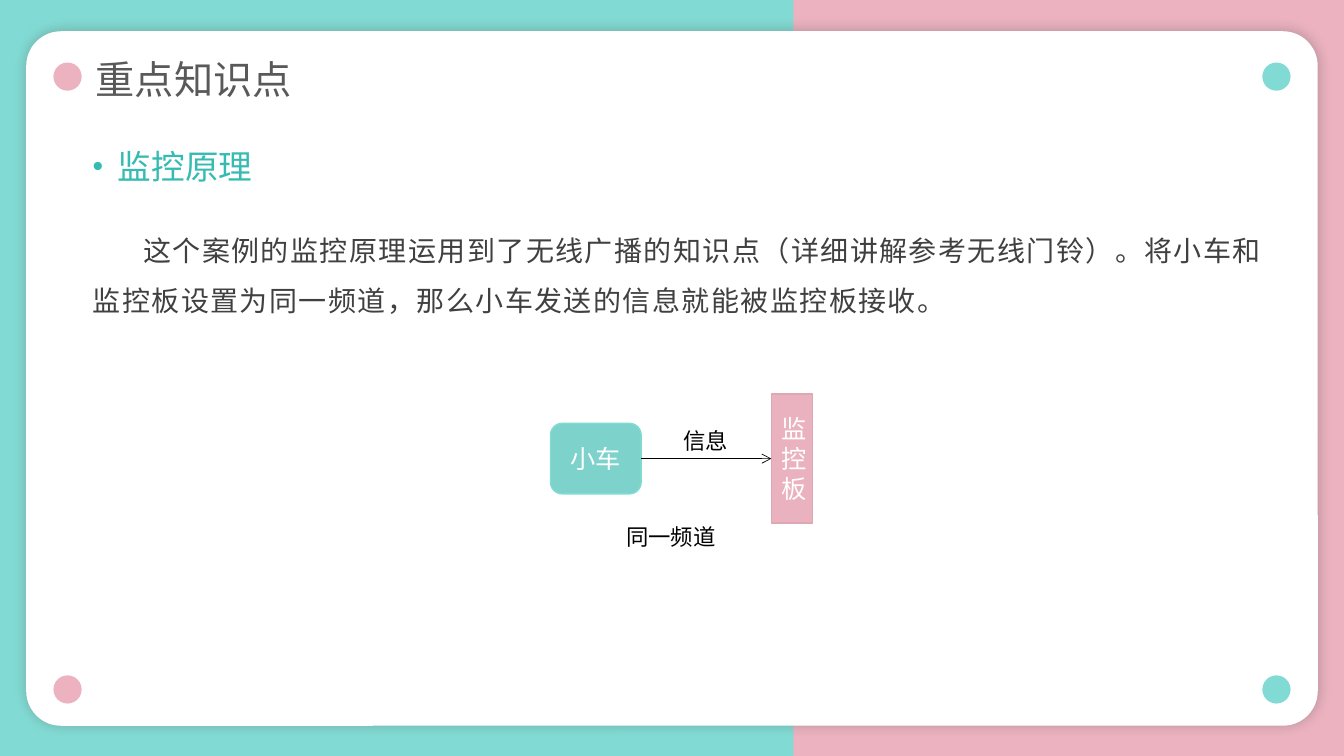
from dataclasses import dataclass

from lxml import etree
from pptx import Presentation
from pptx.dml.color import RGBColor
from pptx.enum.shapes import MSO_CONNECTOR, MSO_SHAPE
from pptx.enum.text import MSO_ANCHOR, MSO_AUTO_SIZE, PP_ALIGN
from pptx.oxml import parse_xml
from pptx.oxml.ns import nsdecls, qn
from pptx.util import Inches, Pt

RECTANGLE = MSO_SHAPE.RECTANGLE
ROUNDED = MSO_SHAPE.ROUNDED_RECTANGLE
OVAL = MSO_SHAPE.OVAL
STRAIGHT = MSO_CONNECTOR.STRAIGHT
MIDDLE = MSO_ANCHOR.MIDDLE
TOP = MSO_ANCHOR.TOP
GROW = MSO_AUTO_SIZE.SHAPE_TO_FIT_TEXT
LEFT = PP_ALIGN.LEFT
CENTER = PP_ALIGN.CENTER
JUSTIFY = PP_ALIGN.JUSTIFY
RIGHT_SIDE, LEFT_SIDE = 3, 1


@dataclass(frozen=True)
class Theme:
    teal: str = "81DBD4"
    pink: str = "ECB2C0"
    white: str = "FFFFFF"
    black: str = "000000"
    title: str = "595959"
    shadow: str = "595959"
    heading: str = "35BBB1"
    body: str = "404040"
    car: str = "7ED2CC"
    car_edge: str = "80DBD4"
    board: str = "EAB1BF"
    board_edge: str = "DCA8B5"
    font: str = "Noto Sans CJK SC"
    heading_font: str = "Arial"
    title_size: int = 28
    heading_size: int = 24
    body_size: int = 20
    node_size: int = 18
    label_size: int = 16


THEME = Theme()

TITLE = "重点知识点"
HEADING = "监控原理"
BODY = (
    "这个案例的监控原理运用到了无线广播的知识点（详细讲解参考无线门铃）。"
    "将小车和监控板设置为同一频道，那么小车发送的信息就能被监控板接收。"
)
NODES = {
    "小车": (ROUNDED, (5.46, 4.2, 0.9, 0.7), THEME.car, THEME.car_edge),
    "监控板": (RECTANGLE, (7.65, 3.91, 0.41, 1.28), THEME.board, THEME.board_edge),
}
LABELS = [("信息", (6.78, 4.16, 0.48, 0.35)), ("同一频道", (6.21, 5.11, 0.92, 0.35))]
DOT_COLUMNS = [(0.53, THEME.pink), (12.52, THEME.teal)]
DOT_ROWS = [0.62, 6.7]
DOT_SIZE = 0.28


def inches(box):
    return [Inches(value) for value in box]


def add_block(slide, kind, box, fill, edge=None):
    shape = slide.shapes.add_shape(kind, *inches(box))
    shape.shadow.inherit = False
    shape.fill.solid()
    shape.fill.fore_color.rgb = RGBColor.from_string(fill)
    if edge:
        shape.line.color.rgb = RGBColor.from_string(edge)
        shape.line.width = Pt(1)
    else:
        shape.line.fill.background()
    return shape


def write(shape, text, size, color, font=THEME.font, align=None, spacing=None):
    shape.text_frame.text = text
    paragraph = shape.text_frame.paragraphs[0]
    paragraph.alignment = align
    paragraph.line_spacing = spacing
    run = paragraph.runs[0]
    run.font.size = Pt(size)
    run.font.name = font
    run.font.color.rgb = RGBColor.from_string(color)
    east_asian = parse_xml(f'<a:ea {nsdecls("a")} typeface="{THEME.font}"/>')
    run.font._element.find(qn("a:latin")).addnext(east_asian)
    return paragraph


def set_frame(shape, anchor, vertical_inset=0.05, wrap=True):
    frame = shape.text_frame
    frame.word_wrap = wrap
    frame.auto_size = GROW
    frame.vertical_anchor = anchor
    frame.margin_left = frame.margin_right = 0
    frame.margin_top = frame.margin_bottom = Inches(vertical_inset)


def add_text(slide, box, anchor=TOP, vertical_inset=0.05, wrap=True):
    shape = slide.shapes.add_textbox(*inches(box))
    set_frame(shape, anchor, vertical_inset, wrap)
    return shape


def add_card(slide):
    card = add_block(slide, ROUNDED, (0.26, 0.31, 12.81, 6.89), THEME.white)
    card.adjustments[0] = 0.05
    effects = card._element.spPr.find(qn("a:effectLst"))
    effects.append(parse_xml(
        f'<a:outerShdw {nsdecls("a")} blurRad="{Pt(9)}" dist="{Pt(1)}" dir="0" '
        f'algn="ctr" rotWithShape="0"><a:srgbClr val="{THEME.shadow}">'
        '<a:alpha val="36000"/></a:srgbClr></a:outerShdw>'
    ))


def add_backdrop(slide):
    slide.background.fill.solid()
    slide.background.fill.fore_color.rgb = RGBColor.from_string(THEME.pink)
    add_block(slide, RECTANGLE, (-0.02, 0, 7.89, 7.5), THEME.teal)
    add_card(slide)
    for top in DOT_ROWS:
        for left, color in DOT_COLUMNS:
            add_block(slide, OVAL, (left, top, DOT_SIZE, DOT_SIZE), color)


def add_title(slide):
    title = slide.shapes.title
    title.left, title.top, title.width, title.height = inches((0.95, 0.55, 5.59, 0.52))
    set_frame(title, MIDDLE)
    write(title, TITLE, THEME.title_size, THEME.title, align=LEFT, spacing=0.9)
    slide.shapes._spTree.append(title._element)


def add_copy(slide):
    heading = add_text(slide, (0.92, 1.4, 8.1, 0.5), MIDDLE)
    paragraph = write(heading, HEADING, THEME.heading_size, THEME.heading,
                      THEME.heading_font, JUSTIFY)
    properties = paragraph._p.get_or_add_pPr()
    properties.set("marL", str(Inches(0.25)))
    properties.set("indent", str(Inches(-0.32)))
    etree.SubElement(properties, qn("a:buSzPct"), val="90000")
    etree.SubElement(properties, qn("a:buFont"), typeface=THEME.heading_font)
    etree.SubElement(properties, qn("a:buChar"), char="•")

    body = add_text(slide, (0.92, 2.1, 11.69, 1.11))
    paragraph = write(body, BODY, THEME.body_size, THEME.body, spacing=1.5)
    paragraph._p.get_or_add_pPr().set("indent", str(Inches(0.5)))
    paragraph.runs[0].font._element.set("spc", "100")


def add_diagram(slide):
    nodes = {}
    for text, (kind, box, fill, edge) in NODES.items():
        node = add_block(slide, kind, box, fill, edge)
        node.text_frame.vertical_anchor = MIDDLE
        write(node, text, THEME.node_size, THEME.white, align=CENTER)
        nodes[text] = node

    arrow = slide.shapes.add_connector(STRAIGHT, 0, 0, 0, 0)
    arrow.begin_connect(nodes["小车"], RIGHT_SIDE)
    arrow.end_connect(nodes["监控板"], LEFT_SIDE)
    arrow.line.color.rgb = RGBColor.from_string(THEME.black)
    arrow.line.width = Pt(0.5)
    etree.SubElement(arrow.line._get_or_add_ln(), qn("a:tailEnd"), type="arrow")
    etree.SubElement(arrow._element.spPr, qn("a:effectLst"))

    for text, box in LABELS:
        label = add_text(slide, box, vertical_inset=0, wrap=False)
        write(label, text, THEME.label_size, THEME.black, spacing=1.3)


def main():
    presentation = Presentation()
    presentation.slide_width = Inches(13.33)
    presentation.slide_height = Inches(7.5)
    slide = presentation.slides.add_slide(presentation.slide_layouts[5])
    add_backdrop(slide)
    add_title(slide)
    add_copy(slide)
    add_diagram(slide)
    presentation.save("out.pptx")


if __name__ == "__main__":
    main()
